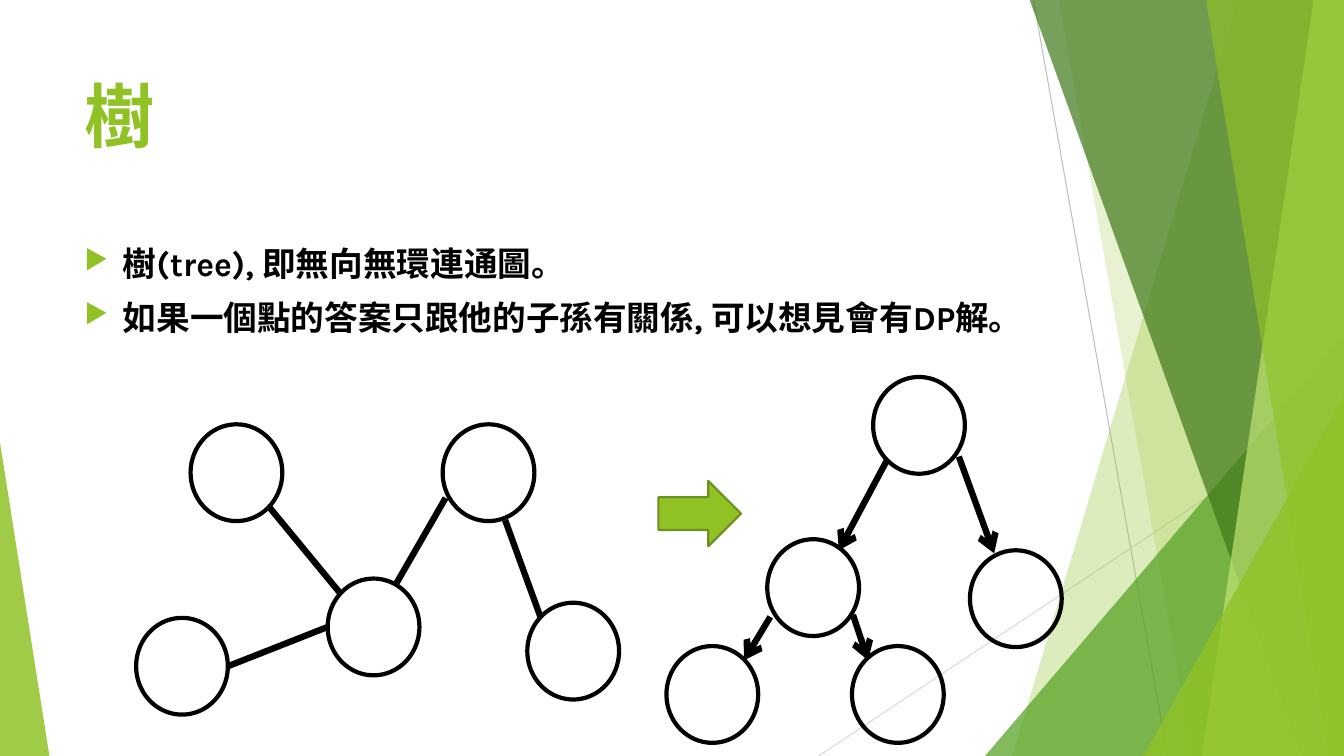
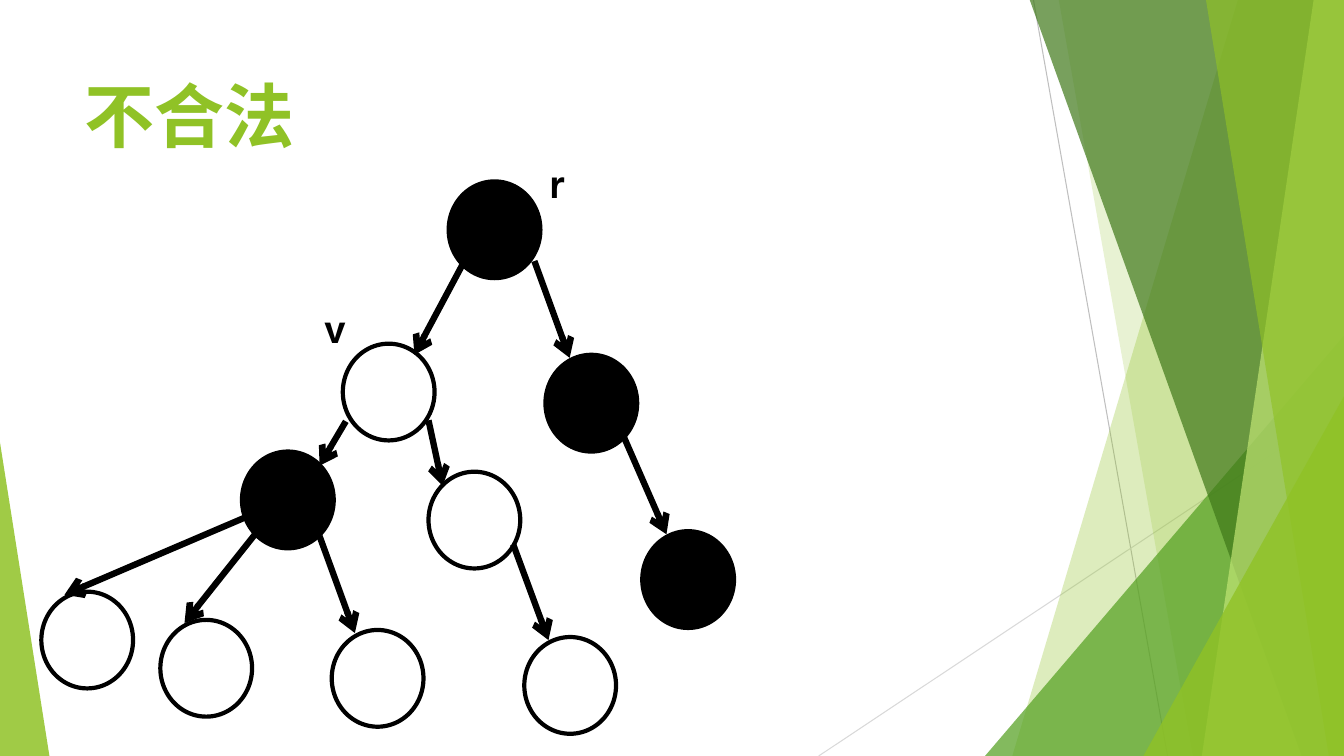
from lxml.etree import SubElement
from pptx import Presentation
from pptx.dml.color import RGBColor
from pptx.enum.shapes import MSO_CONNECTOR, MSO_SHAPE
from pptx.enum.text import MSO_ANCHOR
from pptx.oxml.ns import qn
from pptx.util import Inches, Pt

GREEN, BLACK = "90C226", "000000"
WIDTH, HEIGHT, TOP = 13.33, 7.5, -0.01
NODE_SIZE = (0.91, 0.96)
TITLE_BOX = (0.74, 0.67, 9.4, 1.44)
BODY_BOX = (0.74, 2.36, 9.4, 4.24)
INDENT = 0.38

RAYS = [((10.25, 0), (11.58, HEIGHT), "BFBFBF"), ((WIDTH, 4.03), (8.12, HEIGHT), "D9D9D9")]
BANDS = [
    ("band", 12.28, 10.04, GREEN, 30),
    ("band", 10.5, 11.83, GREEN, 20),
    ("triangle", (9.77, 3.33, 3.56, 4.17), 1, "54A021", 72),
    ("band", 10.21, 12.91, "3F7819", 70),
    ("band", 13.03, 11.92, "C0E474", 70),
    ("band", 11.96, 13.18, GREEN, 65),
    ("triangle", (11.34, 3.93, 1.99, 3.57), 1, GREEN, 80),
    ("triangle", (0, 4.39, 0.49, 3.11), 0, GREEN, 85),
]

SLIDES = [
    {
        "title": "樹",
        "bullets": ["樹(tree), 即無向無環連通圖。",
                    "如果一個點的答案只跟他的子孫有關係, 可以想見會有DP解。"],
        "block_arrow": (6.53, 4.77, 0.82, 0.65),
        "white_nodes": [(1.89, 4.21), (3.25, 5.74), (4.39, 4.21), (1.35, 6.13), (5.23, 5.98),
                        (8.66, 3.74), (9.62, 5.46), (7.61, 5.35), (8.45, 6.41), (6.61, 6.41)],
        "edges": [((2.67, 5.03), (3.37, 5.88)), ((4.42, 4.94), (3.93, 5.79)),
                  ((3.25, 6.22), (2.26, 6.61)), ((5.01, 5.16), (5.36, 6.12))],
        "arrows": [((8.8, 4.56), (8.32, 5.46)), ((9.51, 4.53), (9.86, 5.49)),
                   ((8.46, 6.1), (8.61, 6.55)), ((7.64, 6.12), (7.38, 6.55))],
    },
    {
        "title": "不合法",
        "white_nodes": [(3.4, 3.41), (4.25, 4.68), (5.2, 6.32), (3.29, 6.25),
                        (1.59, 6.15), (0.41, 5.87)],
        "black_nodes": [(4.45, 1.8), (5.41, 3.52), (2.4, 4.48), (6.37, 5.27)],
        "arrows": [((4.59, 2.62), (4.11, 3.52)), ((5.3, 2.59), (5.65, 3.55)),
                   ((4.25, 4.17), (4.39, 4.82)), ((3.43, 4.18), (3.17, 4.62)),
                   ((5.09, 5.4), (5.44, 6.35)), ((3.17, 5.32), (3.52, 6.28)),
                   ((2.53, 5.3), (1.83, 6.18)), ((2.44, 5.13), (0.64, 5.9)),
                   ((6.19, 4.34), (6.61, 5.3))],
        "labels": [("r", (5.34, 1.5, 0.38, 0.61)), ("v", (3.12, 2.94, 0.42, 0.61))],
    },
]


def color(value):
    return RGBColor.from_string(value)


def inches(values):
    return [Inches(value) for value in values]


def paint(shape, fill=None, line=None, width=0, opacity=100):
    shape.shadow.inherit = False
    if fill:
        shape.fill.solid()
        shape.fill.fore_color.rgb = color(fill)
        if opacity < 100:
            target = shape.fill._xPr.find(".//" + qn("a:srgbClr"))
            SubElement(target, qn("a:alpha"), val=str(opacity * 1000))
    else:
        shape.fill.background()
    if line:
        shape.line.color.rgb = color(line)
        shape.line.width = Pt(width)
    else:
        shape.line.fill.background()


def add_line(page, start, end, line, width, head=False):
    connector = page.shapes.add_connector(MSO_CONNECTOR.STRAIGHT, *inches(start + end))
    connector.line.color.rgb = color(line)
    connector.line.width = Pt(width)
    if head:
        SubElement(connector.get_or_add_ln(), qn("a:tailEnd"), type="arrow")
    SubElement(connector._element.spPr, qn("a:effectLst"))


def add_text(page, place, lines, size, ink, wrap=True, bullets=False):
    box = page.shapes.add_textbox(*inches(place))
    frame = box.text_frame
    frame.word_wrap = wrap
    frame.vertical_anchor = MSO_ANCHOR.TOP
    for index, line in enumerate(lines):
        para = frame.paragraphs[0] if index == 0 else frame.add_paragraph()
        if bullets:
            add_bullet(para)
        if index:
            para.space_before = Pt(10)
        span = para.add_run()
        span.text = line
        for name, value in {"name": "Karla", "size": Pt(size), "bold": True}.items():
            setattr(span.font, name, value)
        span.font.color.rgb = color(ink)


def add_bullet(para):
    properties = para._p.get_or_add_pPr()
    properties.set("marL", str(Inches(INDENT)))
    properties.set("indent", str(-Inches(INDENT)))
    SubElement(SubElement(properties, qn("a:buClr")), qn("a:srgbClr"), val=GREEN)
    SubElement(properties, qn("a:buSzPct"), val="80000")
    SubElement(properties, qn("a:buChar"), char="▶")


def add_background(page):
    for start, end, line in RAYS:
        add_line(page, start, end, line, 0.75)
    for kind, first, second, fill, opacity in BANDS:
        if kind == "band":
            corners = [(first, TOP), (WIDTH, TOP), (WIDTH, HEIGHT), (second, HEIGHT)]
            points = [tuple(inches(corner)) for corner in corners]
            builder = page.shapes.build_freeform(*points[0])
            builder.add_line_segments(points[1:], close=True)
            shape = builder.convert_to_shape()
        else:
            shape = page.shapes.add_shape(MSO_SHAPE.ISOSCELES_TRIANGLE, *inches(first))
            shape.adjustments[0] = second
        paint(shape, fill, opacity=opacity)


def add_slide(deck, content):
    page = deck.slides.add_slide(deck.slide_layouts[6])
    add_background(page)
    add_text(page, TITLE_BOX, [content["title"]], 50, GREEN)
    if "bullets" in content:
        add_text(page, BODY_BOX, content["bullets"], 24, BLACK, bullets=True)
    for group, fill in (("white_nodes", None), ("black_nodes", BLACK)):
        for corner in content.get(group, []):
            node = page.shapes.add_shape(MSO_SHAPE.OVAL, *inches(corner + NODE_SIZE))
            paint(node, fill, BLACK, 3)
    for group, head in (("edges", False), ("arrows", True)):
        for start, end in content.get(group, []):
            add_line(page, start, end, BLACK, 4.5, head)
    if "block_arrow" in content:
        arrow = page.shapes.add_shape(MSO_SHAPE.RIGHT_ARROW, *inches(content["block_arrow"]))
        paint(arrow, GREEN, "6B901C", 1.5)
    for label, place in content.get("labels", []):
        add_text(page, place, [label], 30, BLACK, wrap=False)


def main():
    deck = Presentation()
    deck.slide_width, deck.slide_height = inches((WIDTH, HEIGHT))
    for content in SLIDES:
        add_slide(deck, content)
    deck.save("out.pptx")


if __name__ == "__main__":
    main()
